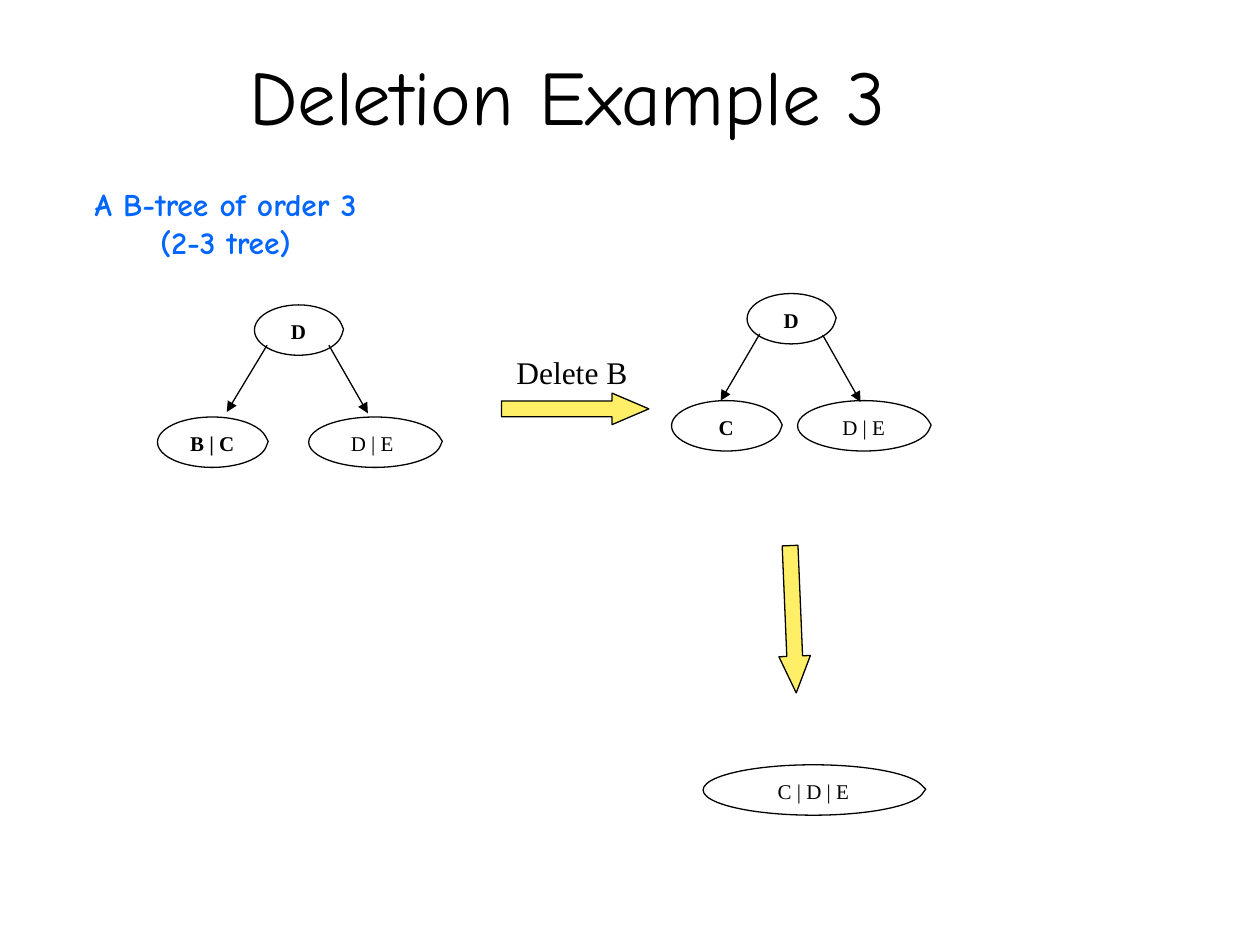
from lxml import etree
from pptx import Presentation
from pptx.dml.color import RGBColor
from pptx.enum import shapes, text
from pptx.oxml.ns import qn
from pptx.util import Inches, Pt

BLACK, WHITE, YELLOW, BLUE = "000000", "FFFFFF", "FFEF66", "0066FF"
SERIF, HAND = "Times New Roman", "Comic Neue"
NODE_HEIGHT = 0.4


def color(hex_value):
    return RGBColor.from_string(hex_value)


def write(shape, lines, font=SERIF, size=12, bold=False, ink=BLACK,
          align=text.PP_ALIGN.CENTER, anchor=text.MSO_ANCHOR.TOP, wrap=True):
    """Fill a shape with one paragraph per line of text."""
    frame = shape.text_frame
    frame.word_wrap = wrap
    frame.vertical_anchor = anchor
    frame.margin_left = frame.margin_right = Inches(0.1)
    frame.margin_top = frame.margin_bottom = Inches(0.05)
    frame.text = lines
    for paragraph in frame.paragraphs:
        paragraph.alignment = align
        for run in paragraph.runs:
            run.font.name = font
            run.font.size = Pt(size)
            run.font.bold = bold
            run.font.color.rgb = color(ink)


def add_label(slide, lines, left, top, width, height, **style):
    box = slide.shapes.add_textbox(*map(Inches, (left, top, width, height)))
    write(box, lines, **style)


def add_outlined(parent, kind, left, top, width, height, fill, adjustments):
    shape = parent.shapes.add_shape(kind, *map(Inches, (left, top, width, height)))
    for index, value in enumerate(adjustments):
        shape.adjustments[index] = value
    shape.shadow.inherit = False
    shape.fill.solid()
    shape.fill.fore_color.rgb = color(fill)
    shape.line.color.rgb = color(BLACK)
    shape.line.width = Pt(0.75)
    return shape


def add_node(parent, keys, left, top, width, bold=False):
    """Tree node: an ellipse with a tiny point on its right side."""
    node = add_outlined(parent, shapes.MSO_SHAPE.OVAL_CALLOUT, left, top, width,
                        NODE_HEIGHT, WHITE, (0.51, -0.017))
    write(node, keys, bold=bold)


def add_branch(parent, start, end):
    """Thin line from a node to its child, with an arrowhead at the child."""
    branch = parent.shapes.add_connector(
        shapes.MSO_CONNECTOR.STRAIGHT, *map(Inches, (*start, *end)))
    branch.line.color.rgb = color(BLACK)
    branch.line.width = Pt(0.75)
    etree.SubElement(branch.line._get_or_add_ln(), qn("a:tailEnd"), type="triangle")
    etree.SubElement(branch._element.spPr, qn("a:effectLst"))


def add_step_arrow(slide, left, top, rotation=0):
    arrow = add_outlined(slide, shapes.MSO_SHAPE.RIGHT_ARROW, left, top, 1.17, 0.25,
                         YELLOW, (0.5, 1.167))
    arrow.rotation = rotation


def add_tree(parent, root, left_child, right_child, branches):
    """Root D with two children; each child is (keys, left, top)."""
    add_node(parent, "D", *root, 0.7, bold=True)
    add_node(parent, *left_child, 0.87, bold=True)
    add_node(parent, *right_child, 1.05)
    for start, end in branches:
        add_branch(parent, start, end)


def main():
    deck = Presentation()
    deck.slide_width, deck.slide_height = Inches(10), Inches(7.5)
    slide = deck.slides.add_slide(deck.slide_layouts[6])

    # Headings
    add_label(slide, "Deletion Example 3", 0.75, 0.17, 7.51, 1.17,
              font=HAND, size=44, anchor=text.MSO_ANCHOR.MIDDLE)
    add_label(slide, "A B-tree of order 3\n(2-3 tree)", 0, 1.42, 3.58, 0.7,
              font=HAND, size=18, bold=True, ink=BLUE)

    # Tree before the deletion
    add_tree(slide, (2.02, 2.42), ("B | C", 1.25, 3.31), ("D | E ", 2.45, 3.31),
             [((2.12, 2.74), (1.8, 3.27)), ((2.61, 2.74), (2.92, 3.28))])

    # Deletion step
    add_step_arrow(slide, 3.98, 3.12)
    add_label(slide, "Delete B", 4, 2.75, 1.08, 0.4, size=18,
              align=text.PP_ALIGN.LEFT, wrap=False)

    # Tree after the deletion, kept together as a group
    add_tree(slide.shapes.add_group_shape(), (5.93, 2.33),
             ("C", 5.33, 3.18), (" D | E ", 6.33, 3.18),
             [((6.03, 2.65), (5.72, 3.18)), ((6.53, 2.66), (6.83, 3.19))])

    # Merged node
    add_step_arrow(slide, 5.71, 4.79, rotation=87.6)
    add_node(slide, "C | D | E", 5.58, 6.07, 1.75)

    deck.save("out.pptx")


if __name__ == "__main__":
    main()
